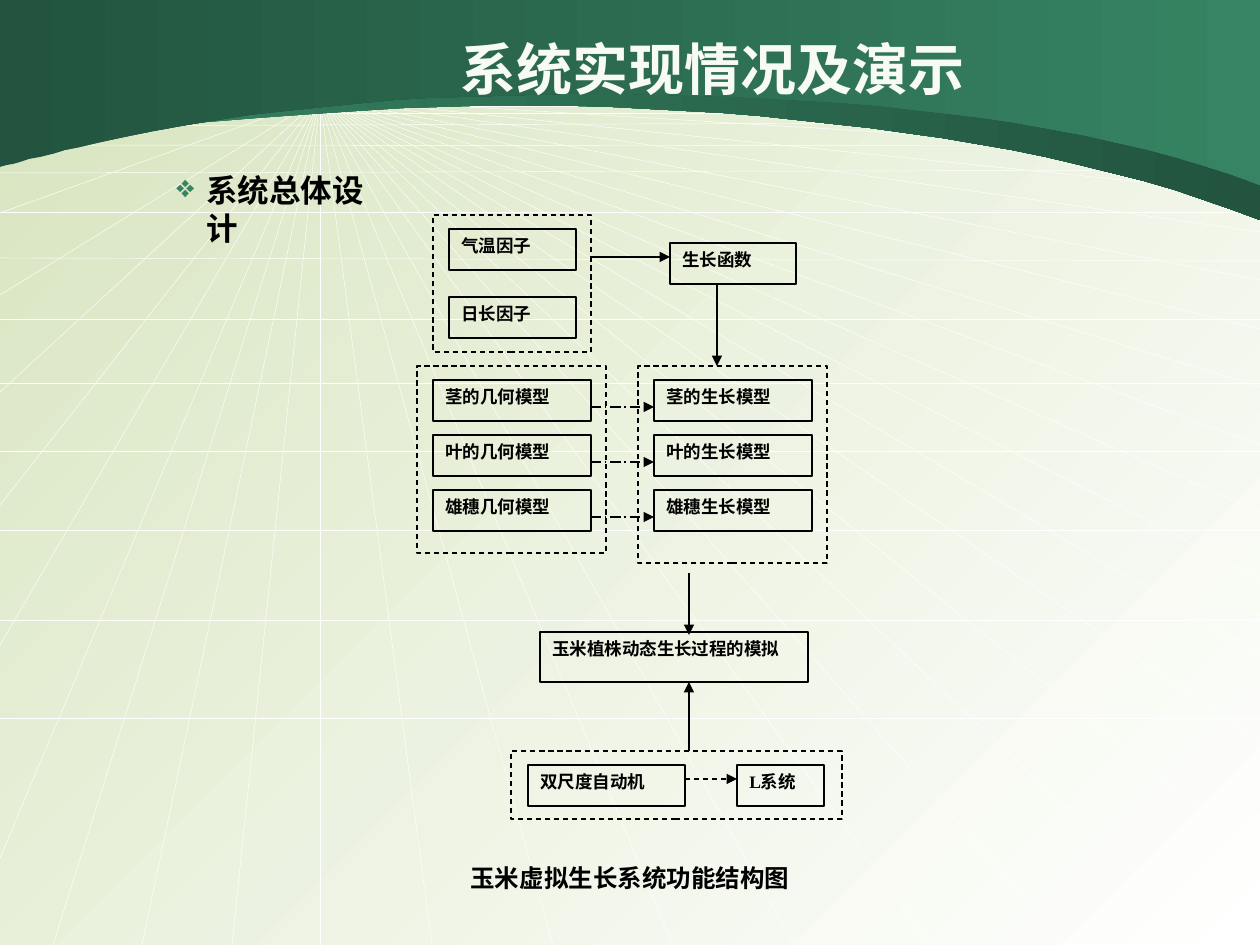
from dataclasses import dataclass

from lxml.etree import SubElement
from pptx import Presentation
from pptx.dml.color import RGBColor
from pptx.enum.dml import MSO_LINE
from pptx.enum.shapes import MSO_CONNECTOR, MSO_SHAPE
from pptx.enum.text import MSO_ANCHOR, PP_ALIGN
from pptx.oxml.ns import qn
from pptx.util import Emu, Pt

PX = 914400 / 126
WIDTH, HEIGHT = 1260, 945


@dataclass(frozen=True)
class Theme:
    ink: str = "000000"
    ray: str = "FFFFFF"
    title: str = "F8FAF4"
    pale: str = "D7E4BE"
    green: str = "368463"
    deep: str = "22543F"
    title_font: str = "DejaVu Sans"
    body_font: str = "Arial"
    node_font: str = "Times New Roman"
    title_size: int = 32
    topic_size: int = 18
    caption_size: int = 14
    node_size: int = 10
    rule: float = 0.75
    hairline: float = 0.25


THEME = Theme()


def px(*lengths):
    return [Emu(round(length * PX)) for length in lengths]


def color(code):
    return RGBColor.from_string(code)


def shade(fill, start, end, angle):
    fill.gradient()
    fill.gradient_angle = angle
    for stop, code in zip(fill.gradient_stops, (start, end)):
        stop.color.rgb = color(code)


def write(frame, text, font, size, code, align=PP_ALIGN.LEFT):
    paragraph = frame.paragraphs[0]
    paragraph.alignment = align
    run = paragraph.add_run()
    run.text = text
    run.font.name, run.font.size, run.font.bold = font, Pt(size), True
    run.font.color.rgb = color(code)


def text_box(slide, box, text, font, size, code, align=PP_ALIGN.LEFT,
             anchor=MSO_ANCHOR.MIDDLE, wrap=True):
    frame = slide.shapes.add_textbox(*px(*box)).text_frame
    frame.word_wrap = wrap
    frame.vertical_anchor = anchor
    write(frame, text, font, size, code, align)
    return frame


def line(slide, start, end, code, width, dash=None, arrow=False):
    rule = slide.shapes.add_connector(MSO_CONNECTOR.STRAIGHT, *px(*start, *end))
    rule.line.color.rgb = color(code)
    rule.line.width = Pt(width)
    if dash:
        rule.line.dash_style = dash
    properties = rule._element.spPr
    if arrow:
        SubElement(properties.find(qn("a:ln")), qn("a:tailEnd"), type="triangle")
    SubElement(properties, qn("a:effectLst"))


def rectangle(slide, box, text=None, dash=None):
    rect = slide.shapes.add_shape(MSO_SHAPE.RECTANGLE, *px(*box))
    rect.shadow.inherit = False
    rect.fill.background()
    rect.line.color.rgb = color(THEME.ink)
    rect.line.width = Pt(THEME.rule)
    if dash:
        rect.line.dash_style = dash
    if text:
        rect.text_frame.word_wrap = True
        rect.text_frame.vertical_anchor = MSO_ANCHOR.TOP
        write(rect.text_frame, text, THEME.node_font, THEME.node_size,
              THEME.ink, PP_ALIGN.JUSTIFY)


def curve(points, steps=24):
    """Points along a cubic Bezier curve, without its start."""
    for step in range(1, steps + 1):
        t = step / steps
        weights = ((1 - t) ** 3, 3 * t * (1 - t) ** 2, 3 * t * t * (1 - t), t ** 3)
        yield tuple(round(sum(w * p[axis] for w, p in zip(weights, points)), 1)
                    for axis in (0, 1))


def backdrop(slide, box):
    left, top, width, height = box
    right, bottom = left + width, top + height
    shade(slide.background.fill, THEME.pale, "FFFFFF", 315)

    # Rays from the vanishing point to the edges
    vanishing = (left + 320, top + 98)
    to_right = (126, 155, 194, 232, 280, 329, 387, 445, 512, 578, 655, 742, 857)
    to_bottom = (53, 142, 232, 320, 432, 553, 673, 794, 930, 1066, 1210)
    to_left = (98, 122, 146, 213, 295, 392, 505, 645, 858)
    ends = ([(right, top + y) for y in to_right]
            + [(left + x, bottom) for x in to_bottom]
            + [(left, top + y) for y in to_left])
    for end in ends:
        line(slide, vanishing, end, THEME.ray, THEME.hairline)

    # Horizontal lines, as heights at the left and right edges
    levels = ((106, 106), (113, 113), (126, 122), (145, 146), (173, 170),
              (212, 212), (258, 261), (319, 319), (383, 383), (451, 451),
              (530, 530), (620, 620), (718, 718))
    for y_left, y_right in levels:
        line(slide, (left, top + y_left), (right, top + y_right),
             THEME.ray, THEME.hairline)

    # Curved header bands, back then front
    bands = (
        (THEME.green, THEME.deep, ((0, 150), (14, 149), (168, 117), (437, 107),
                                   (707, 98), (1047, 134), (1260, 220))),
        (THEME.deep, THEME.green, ((0, 167), (14, 165), (190, 107), (459, 97),
                                   (727, 87), (1047, 102), (1260, 185))),
    )
    for start, end, edge in bands:
        outline = [edge[0], *curve(edge[:4]), *curve(edge[3:]), (width, 0)]
        builder = slide.shapes.build_freeform(left, top, scale=PX)
        builder.add_line_segments([(left + x, top + y) for x, y in outline])
        band = builder.convert_to_shape()
        band.shadow.inherit = False
        band.line.fill.background()
        shade(band.fill, start, end, 0)


def topic(slide, box):
    frame = text_box(slide, box, "系统总体设计", THEME.body_font, THEME.topic_size,
                     THEME.ink, anchor=MSO_ANCHOR.TOP)
    indent = px(30)[0]
    properties = frame.paragraphs[0]._p.get_or_add_pPr()
    properties.set("marL", str(indent))
    properties.set("indent", str(-indent))
    bullet_color = SubElement(properties, qn("a:buClr"))
    SubElement(bullet_color, qn("a:srgbClr"), val=THEME.green)
    SubElement(properties, qn("a:buChar"), char="❖")


def group(slide, box, labels, size, inset, pitch):
    """Dashed frame around evenly stepped nodes."""
    rectangle(slide, box, dash=MSO_LINE.DASH)
    for row, label in enumerate(labels):
        rectangle(slide, (box[0] + inset, box[1] + 14 + row * pitch, *size), label)


def diagram(slide, box):
    left, top = box[:2]

    def place(x, y, *size):
        return (left + x, top + y, *size)

    def arrow(start, end, dash=None):
        line(slide, place(*start), place(*end), THEME.ink, THEME.rule, dash, True)

    # Climate factors drive the growth function
    group(slide, place(16, 0, 158, 137), ("气温因子", "日长因子"), (127, 41), 16, 68)
    rectangle(slide, place(253, 28, 126, 41), "生长函数")
    arrow((174, 42), (253, 42))
    arrow((300, 69), (300, 151))

    # Geometric models feed the growth models row by row
    organs = ("茎的", "叶的", "雄穗")
    for x, height, kind in ((0, 187, "几何模型"), (221, 197, "生长模型")):
        group(slide, place(x, 151, 189, height), [organ + kind for organ in organs],
              (158, 41), 16, 55)
    for row in range(len(organs)):
        y = 192 + row * 55
        arrow((174, y), (237, y), MSO_LINE.LONG_DASH_DOT)

    # Simulation of the growing plant
    rectangle(slide, place(123, 417, 268, 50), "玉米植株动态生长过程的模拟")
    arrow((272, 358), (272, 420))
    arrow((272, 536), (272, 467))

    # Generation methods
    group(slide, place(94, 536, 331, 68), ("双尺度自动机",), (157, 41), 17, 0)
    rectangle(slide, place(320, 550, 87, 41), "L系统")
    arrow((268, 564), (320, 564), MSO_LINE.DASH)


def main():
    deck = Presentation()
    deck.slide_width, deck.slide_height = px(WIDTH, HEIGHT)
    slide = deck.slides.add_slide(deck.slide_layouts[6])
    backdrop(slide, (0, 0, WIDTH, HEIGHT))
    text_box(slide, (204, 29, 1018, 78), "系统实现情况及演示", THEME.title_font,
             THEME.title_size, THEME.title, PP_ALIGN.CENTER)
    diagram(slide, (417, 215, 425, 604))
    text_box(slide, (458, 853, 345, 50), "玉米虚拟生长系统功能结构图",
             THEME.body_font, THEME.caption_size, THEME.ink, wrap=False)
    topic(slide, (164, 165, 243, 50))
    deck.save("out.pptx")


if __name__ == "__main__":
    main()
